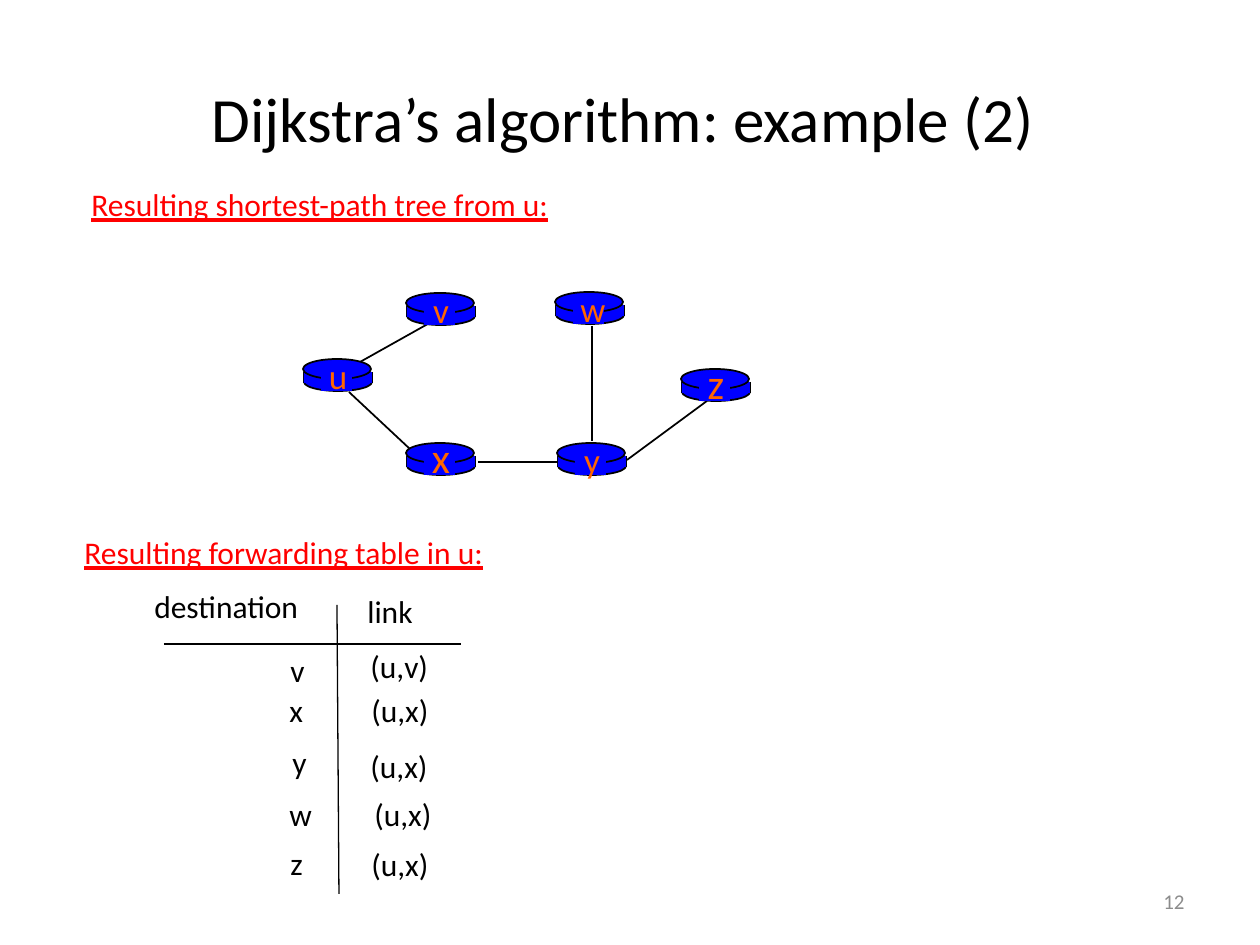
from lxml import etree
from pptx import Presentation
from pptx import util as u
from pptx.dml.color import RGBColor
from pptx.enum import shapes, text
from pptx.oxml.ns import qn

PX = 914400 // 126
FONT, BLACK, BLUE, RED, ORANGE, GRAY = (
    "Calibri", "000000", "0000FF", "FF0000", "FF6600", "8C8C8C")

TITLE = "Dijkstra’s algorithm: example (2) "
HEADINGS = [("Resulting shortest-path tree from u:", 79, 179, 566),
            ("Resulting forwarding table in u:", 72, 527, 484)]

# name: left and top of the router body, label size
ROUTERS = {"u": (304, 372, 20), "x": (407, 456, 24), "v": (407, 306, 20),
           "w": (556, 305, 20), "y": (558, 456, 20), "z": (682, 382, 24)}
LABEL_BOX = {20: (-24, 55), 24: (-31, 64)}  # size: top offset, height
LINK_BEHIND = (360, 362, 435, 320)
LINKS_IN_FRONT = [(592, 326, 592, 441), (627, 460, 707, 401),
                  (558, 462, 478, 462), (410, 449, 349, 392)]

# text, left, top, for each of the two columns
TABLE = [("destination", 142, 581, "link", 355, 586),
         ("v", 278, 645, "(u,v)", 358, 641),
         ("x", 277, 685, "(u,x)", 359, 685),
         ("y", 280, 737, "(u,x)", 358, 741),
         ("w", 277, 789, "(u,x)", 362, 789),
         ("z", 278, 838, "(u,x)", 359, 839)]
TABLE_RULES = [(337, 605, 339, 894), (164, 644, 461, 644)]


def emu(*lengths):
    return [u.Emu(n * PX) for n in lengths]


def rgb(colour):
    return RGBColor.from_string(colour)


def style(p, size, colour, align=text.PP_ALIGN.LEFT, underline=None):
    p.alignment = align
    p.font.name, p.font.size = FONT, u.Pt(size)
    p.font.color.rgb = rgb(colour)
    p.font.underline = underline


def add_text(parent, words, box, size=18, colour=BLACK, **kw):
    tf = parent.shapes.add_textbox(*emu(*box)).text_frame
    tf.word_wrap = False
    tf.auto_size = text.MSO_AUTO_SIZE.SHAPE_TO_FIT_TEXT
    tf.text = words
    style(tf.paragraphs[0], size, colour, **kw)
    return tf


def add_line(parent, ends, width=1):
    line = parent.shapes.add_connector(
        shapes.MSO_CONNECTOR.STRAIGHT, *emu(*ends))
    line.line.color.rgb = rgb(BLACK)
    line.line.width = u.Pt(width)
    etree.SubElement(line._element.spPr, qn("a:effectLst"))


def add_solid(parent, kind, box, outlined):
    sp = parent.shapes.add_shape(kind, *emu(*box))
    sp.shadow.inherit = False
    sp.fill.solid()
    sp.fill.fore_color.rgb = rgb(BLUE)
    if outlined:
        sp.line.color.rgb = rgb(BLACK)
        sp.line.width = u.Pt(1)
    else:
        sp.line.fill.background()


def add_router(parent, x, y):
    oval, rect = shapes.MSO_SHAPE.OVAL, shapes.MSO_SHAPE.RECTANGLE
    add_solid(parent, oval, (x, y + 1, 68, 18), True)
    for side in (x, x + 68):
        add_line(parent, (side, y, side, y + 11))
    add_solid(parent, rect, (x, y, 68, 11), False)
    add_solid(parent, oval, (x - 1, y - 13, 68, 20), True)


def add_router_label(parent, name, x, y, size):
    add_solid(parent, shapes.MSO_SHAPE.RECTANGLE,
              (x + 17, y - 10, 31, 29), False)
    dy, height = LABEL_BOX[size]
    add_text(parent, name, (x + 12, y + dy, 44, height), size, ORANGE,
             align=text.PP_ALIGN.CENTER)


def main():
    prs = Presentation()
    prs.slide_width, prs.slide_height = emu(1260, 945)
    s = prs.slides.add_slide(prs.slide_layouts[5])

    title = s.shapes.title
    title.left, title.top, title.width, title.height = emu(63, 38, 1134, 158)
    title.text_frame.text = TITLE
    title.text_frame.vertical_anchor = text.MSO_ANCHOR.MIDDLE
    style(title.text_frame.paragraphs[0], 36, BLACK, text.PP_ALIGN.CENTER)

    number = add_text(s, "12", (903, 876, 294, 50), 12, GRAY,
                      align=text.PP_ALIGN.RIGHT)
    number.word_wrap = True
    number.auto_size = text.MSO_AUTO_SIZE.NONE
    number.vertical_anchor = text.MSO_ANCHOR.MIDDLE

    network = s.shapes.add_group_shape()
    add_line(network, LINK_BEHIND)
    for x, y, _ in ROUTERS.values():
        add_router(network, x, y)
    for ends in LINKS_IN_FRONT:
        add_line(network, ends)
    for name, (x, y, size) in ROUTERS.items():
        add_router_label(network, name, x, y, size)

    table = s.shapes.add_group_shape()
    for ends in TABLE_RULES:
        add_line(table, ends, 0.75)
    for dest, dest_x, dest_y, link, link_x, link_y in TABLE:
        dest_width = 189 if dest == "destination" else 43
        add_text(table, dest, (dest_x, dest_y, dest_width, 50))
        add_text(table, link, (link_x, link_y, 91, 50))

    for words, x, y, width in HEADINGS:
        add_text(s, words, (x, y, width, 50), colour=RED, underline=True)

    prs.save("out.pptx")


if __name__ == "__main__":
    main()
